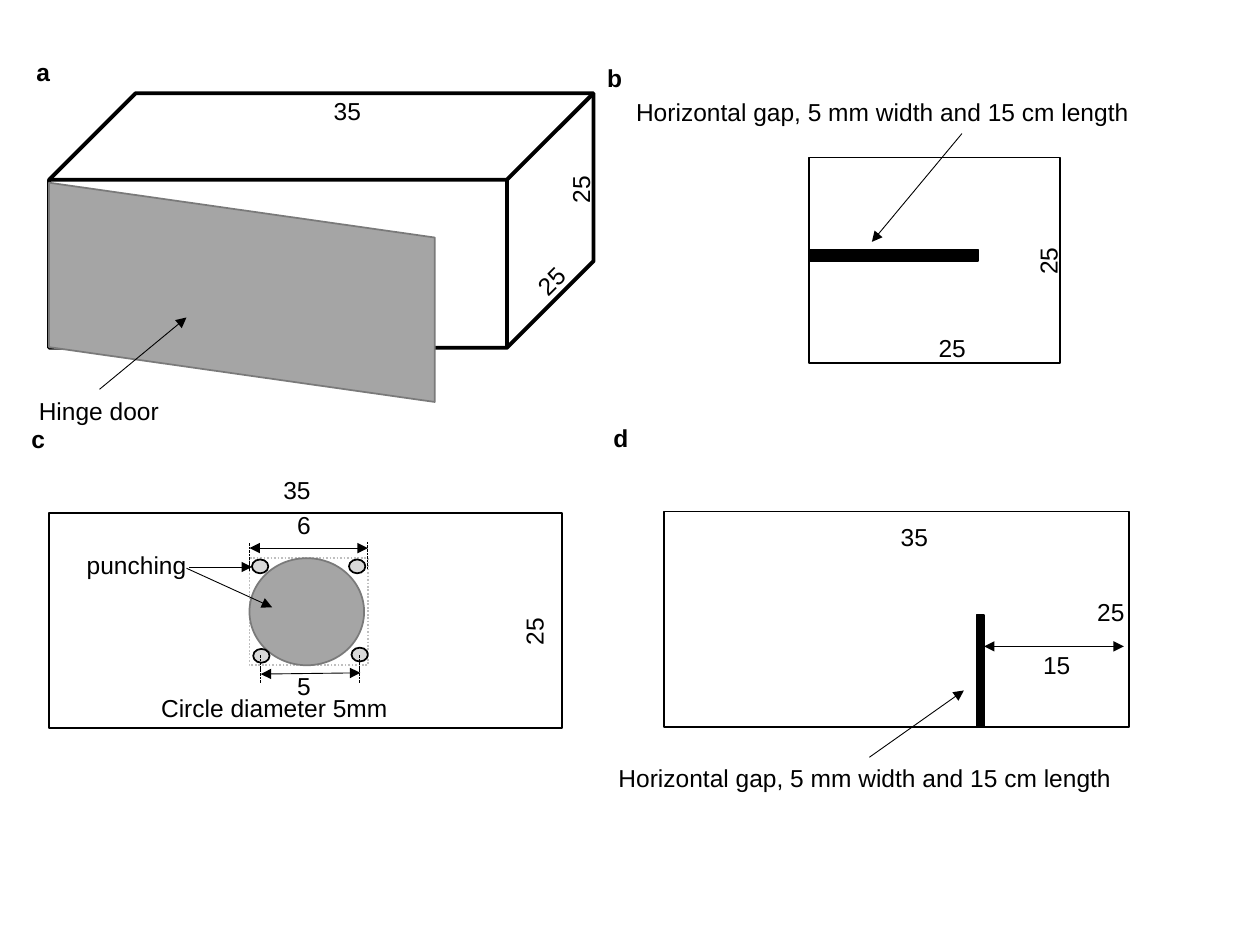
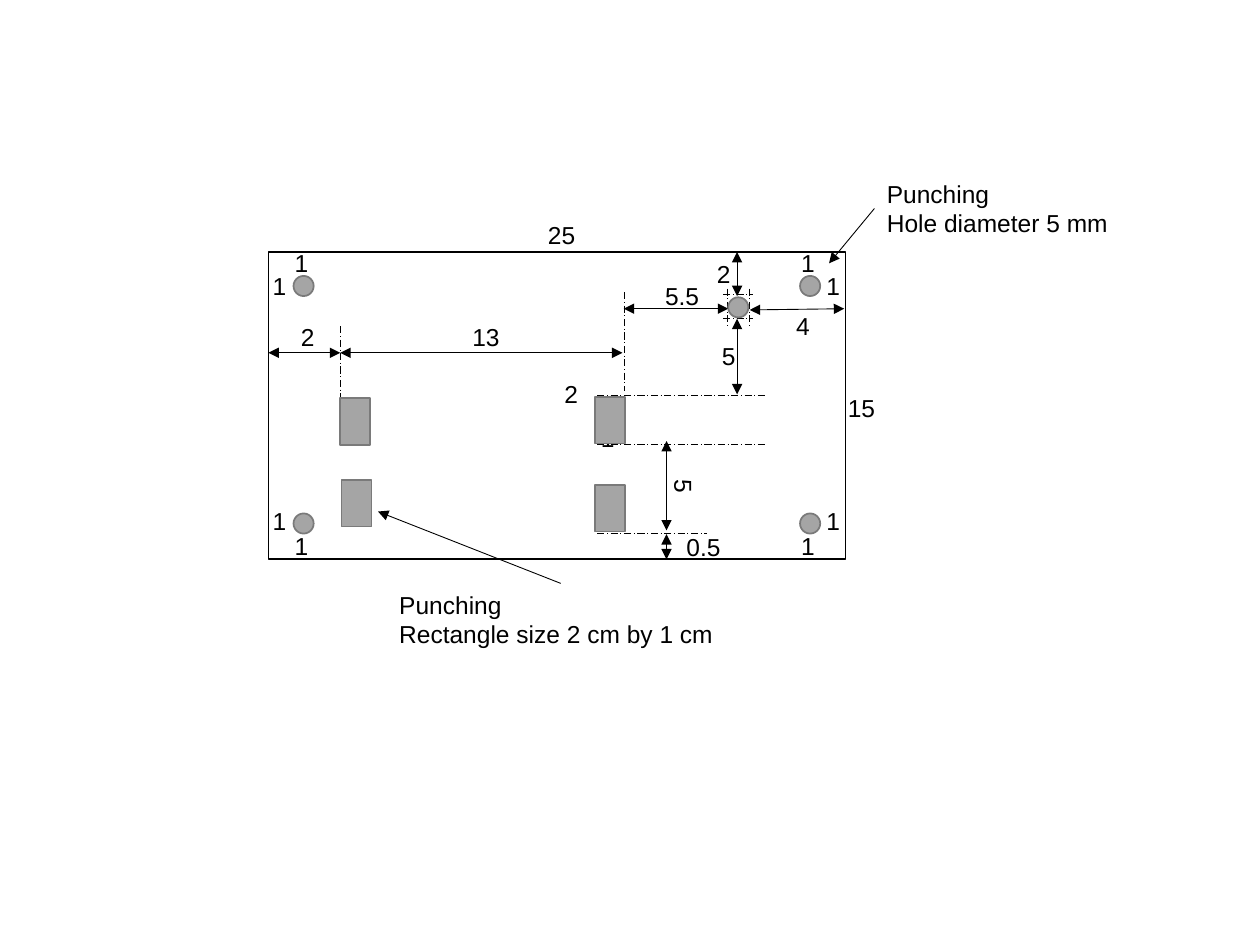
import pptx
import pptx.util
import pptx.dml.color
import pptx.enum.dml
import pptx.enum.shapes
import pptx.enum.text
import pptx.oxml.ns
import lxml.etree

COLS, ROWS = 100, 75
WIDE, HIGH = pptx.util.Inches(10), pptx.util.Inches(7.5)
HUES = {"ink": "000000", "page": "FFFFFF", "steel": "A5A5A5",
        "edge": "7A7A7A", "hole": "D9D9D9", "guide": "BFBFBF"}
FORM = pptx.enum.shapes.MSO_SHAPE
DASH = pptx.enum.dml.MSO_LINE
SPANS = {1: 3.1, 2: 4.2, 3: 4.7}
TOP, LEFT, BOTTOM = 0, 1, 2


class Sketch:
    font, size = "Arial", 14

    def __init__(self):
        self.deck = pptx.Presentation()
        self.deck.slide_width, self.deck.slide_height = WIDE, HIGH
        self.slide = None

    def page(self):
        self.slide = self.deck.slides.add_slide(self.deck.slide_layouts[6])

    def grid(self, *marks):
        return [round(mark * (HIGH / ROWS if n % 2 else WIDE / COLS))
                for n, mark in enumerate(marks)]

    def hue(self, name):
        return pptx.dml.color.RGBColor.from_string(HUES[name])

    def pen(self, line, hue, width, dash=None):
        line.color.rgb = self.hue(hue)
        line.width = pptx.util.Pt(width)
        if dash:
            line.dash_style = dash

    def shape(self, form, x, y, w, h, fill=None, edge="ink", width=1, dash=None):
        item = self.slide.shapes.add_shape(form, *self.grid(x, y, w, h))
        item.shadow.inherit = False
        if fill:
            item.fill.solid()
            item.fill.fore_color.rgb = self.hue(fill)
        else:
            item.fill.background()
        self.pen(item.line, edge, width, dash)
        return item

    def punch(self, form, x, y, w, h):
        return self.shape(form, x, y, w, h, "steel", "edge")

    def text(self, words, x, y, w=None, h=3.4, turn=0, bold=False, wrap=False):
        lines = words.split("\n")
        box = self.slide.shapes.add_textbox(
            *self.grid(x, y, w or SPANS[len(words)], h))
        box.rotation = turn
        frame = box.text_frame
        frame.word_wrap = wrap
        frame.auto_size = pptx.enum.text.MSO_AUTO_SIZE.SHAPE_TO_FIT_TEXT
        for n, line in enumerate(lines):
            para = frame.add_paragraph() if n else frame.paragraphs[0]
            run = para.add_run()
            run.text = line
            run.font.name = self.font
            run.font.size = pptx.util.Pt(self.size)
            run.font.bold = bold
            run.font.color.rgb = self.hue("ink")
        return box

    def line(self, x1, y1, x2, y2, ends=(), dash=None):
        item = self.slide.shapes.add_connector(
            pptx.enum.shapes.MSO_CONNECTOR.STRAIGHT, *self.grid(x1, y1, x2, y2))
        self.pen(item.line, "ink", 0.5, dash)
        name = pptx.oxml.ns.qn
        props = item._element.spPr
        stroke = props.find(name("a:ln"))
        for end in ends:
            lxml.etree.SubElement(stroke, name("a:" + end), type="triangle")
        lxml.etree.SubElement(props, name("a:effectLst"))
        return item

    def point(self, x1, y1, x2, y2, label=None, side=TOP):
        item = self.line(x1, y1, x2, y2, ["tailEnd"])
        if label:
            item.begin_connect(label, side)

    def span(self, x1, y1, x2, y2):
        self.line(x1, y1, x2, y2, ["headEnd", "tailEnd"])


def box_view(art):
    cube = art.shape(FORM.CUBE, 3.9, 7.4, 43.2, 20.2, width=2.25)
    cube.adjustments[0] = 0.34
    art.text("35", 25.5, 7.1)
    art.text("25", 41.6, 20.4, 4.7, turn=315)
    art.text("25", 44, 13.3, turn=270)
    door = art.punch(FORM.PARALLELOGRAM, 10.5, 7.9, 17.4, 30.6)
    door.rotation = 270
    label = art.text("Hinge door", 2.1, 30.9, 11.6)
    art.point(7.9, 30.9, 14.8, 25.2, label)


def side_view(art, gap):
    art.shape(FORM.RECTANGLE, 64.2, 12.5, 19.9, 16.3)
    art.text("25", 73.5, 25.9)
    art.text("25", 81.1, 19, turn=270)
    art.shape(FORM.RECTANGLE, 64.3, 19.8, 13.3, 0.9, "ink")
    label = art.text(gap, 49.5, 7.2, 53.7, wrap=True)
    art.point(76.3, 10.6, 69.2, 19.2, label, BOTTOM)


def back_view(art):
    art.shape(FORM.RECTANGLE, 19.8, 44.3, 9.4, 8.5, edge="guide", dash=DASH.ROUND_DOT)
    art.punch(FORM.OVAL, 19.8, 44.3, 9.1, 8.5)
    art.shape(FORM.RECTANGLE, 3.9, 40.7, 40.7, 17.1)
    art.text("35", 21.5, 37.2)
    art.text("25", 40.3, 48.4, turn=270)
    for x, y in ((20, 44.4), (27.7, 44.4), (27.9, 51.4), (20.1, 51.5)):
        art.shape(FORM.OVAL, x, y, 1.3, 1.1, "hole")
    art.text("punching", 5.9, 43.2, 10)
    art.point(15, 45, 20, 45)
    art.point(14.8, 45.1, 21.6, 48.2)
    art.span(19.8, 43.5, 29.2, 43.5)
    art.span(20.7, 53.5, 28.6, 53.4)
    art.text("6", 22.6, 40)
    art.text("5", 22.6, 52.8)
    art.text("Circle diameter 5mm", 11.8, 54.5, 20.1)
    for x, y in ((20.7, 52), (28.5, 52), (29.2, 43), (19.8, 43.1)):
        art.line(x, y, x, y + 2.2, dash=DASH.SQUARE_DOT)


def top_view(art, gap):
    label = art.text(gap, 48.1, 60.1, 41.8)
    art.shape(FORM.RECTANGLE, 52.7, 40.6, 36.9, 17.1)
    for words, x, y in (("35", 70.5, 40.9), ("25", 86.1, 46.9), ("15", 81.8, 51.1)):
        art.text(words, x, y)
    art.shape(FORM.RECTANGLE, 77.5, 48.8, 0.6, 8.9, "ink")
    art.point(69, 60.5, 76.5, 54.8, label)
    art.span(78.1, 51.3, 89.2, 51.3)


def plate(art):
    art.shape(FORM.RECTANGLE, 21.3, 20, 45.8, 24.4, "page")
    for words, x, y in (
            ("25", 42.5, 17), ("15", 66.3, 30.7), ("13", 36.5, 25.1),
            ("5.5", 51.8, 21.8), ("5", 56.3, 26.6), ("0.5", 53.5, 41.7),
            ("2", 55.9, 20.1), ("4", 62.2, 24.2), ("2", 22.9, 25.1),
            ("2", 43.8, 29.6), ("1", 46.7, 33.1)):
        art.text(words, x, y)
    art.text("5", 52.7, 36.9, turn=90)
    for ends in (
            (27, 28, 49.4, 28), (21.3, 28, 27, 28), (52.9, 35, 52.9, 42.1),
            (52.9, 42.4, 52.9, 44.4), (58.5, 25.3, 58.5, 31.3),
            (58.5, 20, 58.5, 23.5), (49.5, 24.5, 57.8, 24.5),
            (59.5, 24.6, 67, 24.5)):
        art.span(*ends)
    for ends in (
            (47.4, 31.4, 60.8, 31.4), (47.4, 35.3, 60.8, 35.3),
            (47.4, 42.3, 56.1, 42.3), (49.6, 23.2, 49.6, 31),
            (27, 25.9, 27, 34), (57.7, 22.9, 57.7, 25.9),
            (59.5, 22.9, 59.5, 25.9), (57.4, 23.4, 59.8, 23.4),
            (57.4, 25.3, 59.8, 25.3)):
        art.line(*ends, dash=DASH.LONG_DASH_DOT)


def punches(art):
    art.punch(FORM.OVAL, 57.8, 23.6, 1.6, 1.6)
    for x, side in ((23.3, 20.65), (63.5, 64.6)):
        for y, edge, mid in ((21.9, 19.2, 21.05), (40.75, 41.65, 39.65)):
            art.punch(FORM.OVAL, x, y, 1.6, 1.6)
            art.text("1", x - 0.9, edge)
            art.text("1", side, mid)
    for x, y in ((47.2, 31.5), (47.2, 38.5), (27, 31.6), (27.1, 38.1)):
        art.punch(FORM.RECTANGLE, x, y, 2.4, 3.7)
    label = art.text("Punching\nHole diameter 5 mm", 69.4, 13.7, 19.6, 5.7)
    art.point(69.4, 16.6, 65.8, 20.9, label, LEFT)
    label = art.text("Punching\nRectangle size 2 cm by 1 cm", 30.7, 46.3, 27.6, 8.1)
    art.point(44.5, 46.3, 30, 40.6, label)


def main():
    art = Sketch()
    gap = "Horizontal gap, 5 mm width and 15 cm length"
    art.page()
    box_view(art)
    side_view(art, gap)
    top_view(art, gap)
    back_view(art)
    for mark, x, y in (("a", 1.9, 4), ("b", 47.2, 4.5), ("c", 1.5, 33.2), ("d", 47.7, 33.1)):
        art.text(mark, x, y, bold=True)
    art.page()
    plate(art)
    punches(art)
    art.deck.save("out.pptx")


if __name__ == "__main__":
    main()
